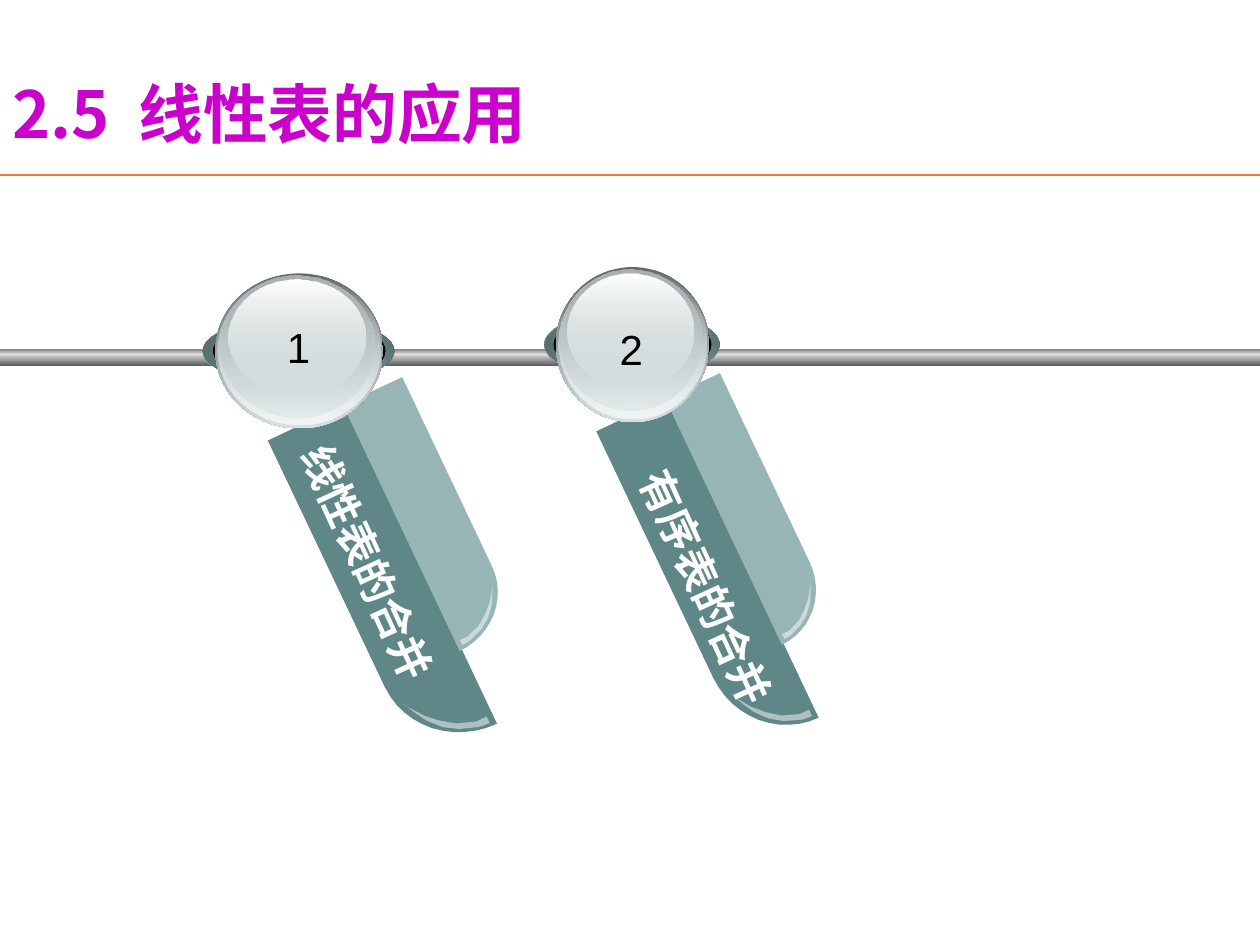
import math
from lxml import etree
from pptx import Presentation
from pptx import util as u
from pptx.dml.color import RGBColor
from pptx.enum import shapes, text
from pptx.oxml.ns import qn

Inches = u.Inches
THEME = {
    "cjk": "Noto Sans CJK SC", "latin": "Arial",
    "title_size": 37, "body_size": 24,
    "title": "CC00CC", "rule": "ED7D31", "label": "FFFFFF", "number": "000000",
    "dark_bar": [("608788", 100)], "light_bar": [("98B5B6", 100)],
    "gloss": [("FFFFFF", 49)],
    "rod_top": [("808080", 100), ("ECECEC", 100)],
    "rod_bottom": [("CFCFCF", 100), ("5F5F5F", 100)],
    "pin": [("FFFFFF", 100), ("83A6A7", 100), ("FFFFFF", 100)],
    "pin_shade": [("83A6A7", 32), ("000000", 90)],
    "ring": [("475A5A", 100), ("83A6A7", 100), ("475A5A", 100)],
    "ring_shade": [("53696A", 100), ("83A6A7", 0)],
    "hole": [("000000", 100)],
    "ball": [("636869", 100), ("D6E1E2", 100)],
    "ball_rim": [("D6E1E2", 0), ("F1F5F5", 100)],
    "ball_core": [("AAB2B3", 100), ("D6E1E2", 48)],
    "ball_shine": [("FFFFFF", 100), ("D6E1E2", 38)],
}


def paint(sp, colour_key, angle=90):
    """Fill with evenly spaced (colour, opacity) stops; angle runs clockwise."""
    stops = THEME[colour_key]
    sp.shadow.inherit = False
    sp.line.fill.background()
    if len(stops) == 1:
        sp.fill.solid()
        sp.fill.fore_color.rgb = RGBColor.from_string(stops[0][0])
        colours = [sp._element.spPr.find(qn("a:solidFill"))[0]]
    else:
        sp.fill.gradient()
        sp.fill.gradient_angle = 360 - angle
        stop_list = sp._element.spPr.find(".//" + qn("a:gsLst"))
        for old in list(stop_list):
            stop_list.remove(old)
        colours = []
        for i, (colour, _) in enumerate(stops):
            gs = etree.SubElement(stop_list, qn("a:gs"), pos=str(100000 * i // (len(stops) - 1)))
            colours.append(etree.SubElement(gs, qn("a:srgbClr"), val=colour))
    for element, (_, opacity) in zip(colours, stops):
        if opacity < 100:
            etree.SubElement(element, qn("a:alpha"), val=str(opacity * 1000))


def add_run(p, words, font, size, colour, bold=False):
    r = p.add_run()
    r.text = words
    r.font.name, r.font.size, r.font.bold = font, u.Pt(size), bold
    r.font.color.rgb = RGBColor.from_string(colour)
    etree.SubElement(r._r.get_or_add_rPr(), qn("a:ea"), typeface=font)
    return r


prs = Presentation()
prs.slide_width, prs.slide_height = Inches(10), Inches(7.5)
s = prs.slides.add_slide(prs.slide_layouts[5])

# Title and rule
title = s.shapes.title
title.left, title.top, title.width, title.height = map(Inches, (0, 0.56, 8.59, 0.75))
tf = title.text_frame
tf.word_wrap = True
tf.auto_size = text.MSO_AUTO_SIZE.NONE
tf.vertical_anchor = text.MSO_ANCHOR.MIDDLE
p = tf.paragraphs[0]
p.alignment = text.PP_ALIGN.LEFT
p.line_spacing = 0.9
for words, spacing in [("2.5", 0), (" ", 800), ("线性表的应用", 0)]:
    r = add_run(p, words, THEME["cjk"], THEME["title_size"], THEME["title"], True)
    if spacing:
        r._r.get_or_add_rPr().set("spc", str(spacing))

rule = s.shapes.add_connector(shapes.MSO_CONNECTOR.STRAIGHT,
                              Inches(0), Inches(1.39), Inches(10), Inches(1.39))
rule.line.color.rgb = RGBColor.from_string(THEME["rule"])
rule.line.width = u.Pt(1)
etree.SubElement(rule._element.spPr, qn("a:effectLst"))

# Horizontal rod
rod = s.shapes.add_group_shape()
for top, height, colour_key in [(2.77, 0.05, "rod_top"), (2.82, 0.08, "rod_bottom")]:
    sp = rod.shapes.add_shape(shapes.MSO_SHAPE.RECTANGLE,
                              Inches(0), Inches(top), Inches(10), Inches(height))
    paint(sp, colour_key)

# Outlines on a unit square: a bar with one elliptical corner, and a crescent
CORNER = 0.23
arc = [math.radians(90 * i / 12) for i in range(13)]
bar = [(0, 0)] + [(1 - CORNER + CORNER * math.cos(a), math.sin(a)) for a in arc] + [(0, 1)]
crescent = [(1, 0), (0.98, 0.16), (0.86, 0.43), (0.7, 0.63), (0.48, 0.79), (0.27, 0.89),
            (0.09, 0.96), (0, 1), (0.11, 0.95), (0.38, 0.79), (0.57, 0.63),
            (0.75, 0.43), (0.87, 0.16), (0.87, 0)]
# outline, flipped, colour
bar_parts = [(bar, False, "dark_bar"), (crescent, False, "gloss"),
             (bar, True, "light_bar"), (crescent, True, "gloss")]
# left and top from the ring's corner, width, height, colour, angle
ball_parts = [
    (0.12, 0, 0.2, 0.53, "pin", 45), (0.12, 0, 0.2, 0.53, "pin_shade", 45),
    (0, 0, 1.52, 0.53, "ring", 315), (0, 0, 1.52, 0.53, "ring_shade", 45),
    (0.08, 0, 1.37, 0.53, "hole", 0), (0.1, -0.35, 1.33, 1.23, "ball", 90),
    (0.12, -0.34, 1.29, 1.19, "ball_rim", 90), (0.13, -0.33, 1.23, 1.12, "ball_core", 90),
    (0.2, -0.3, 1.09, 0.91, "ball_shine", 90),
]
columns = [
    {"ring": (1.61, 2.52), "stretch": 1, "label": "线性表的合并",
     "label_box": (1.82, 4.21, 2.2, 0.5), "wrap": False,
     "bars": [(1.63, 4.28, 2.81, 0.68), (3.32, 5.38, 0.44, 0.56),
              (2.34, 3.82, 2.16, 0.52), (3.62, 4.66, 0.34, 0.43)]},
    {"ring": (4.32, 2.47), "stretch": 0.915, "label": "有序表的合并",
     "label_box": (4.42, 4.55, 2.5, 0.5), "wrap": True,
     "bars": [(4.21, 4.25, 2.81, 0.62), (5.9, 5.34, 0.44, 0.51),
              (4.88, 3.8, 2.16, 0.48), (6.16, 4.64, 0.34, 0.39)]},
]
UNITS = 1000
for column in columns:
    group = s.shapes.add_group_shape()
    for (outline, flipped, colour_key), box in zip(bar_parts, column["bars"]):
        left, top, width, height = map(Inches, box)
        points = [(x * UNITS, (1 - y if flipped else y) * UNITS) for x, y in outline]
        builder = group.shapes.build_freeform(*points[0], scale=(width / UNITS, height / UNITS))
        builder.add_line_segments(points[1:], close=True)
        sp = builder.convert_to_shape(left, top)
        sp.rotation = 64.6
        paint(sp, colour_key)

    ring_left, ring_top = column["ring"]
    for dx, dy, width, height, colour_key, angle in ball_parts:
        sp = group.shapes.add_shape(
            shapes.MSO_SHAPE.OVAL,
            Inches(ring_left + dx * column["stretch"]), Inches(ring_top + dy),
            Inches(width * column["stretch"]), Inches(height))
        paint(sp, colour_key, angle)

    label = group.shapes.add_textbox(*map(Inches, column["label_box"]))
    label.rotation = 65.4
    tf = label.text_frame
    tf.word_wrap = column["wrap"]
    tf.auto_size = text.MSO_AUTO_SIZE.SHAPE_TO_FIT_TEXT
    add_run(tf.paragraphs[0], column["label"], THEME["cjk"], THEME["body_size"],
            THEME["label"], True)

# Numbers on the balls
for number, left, top in [("1", 2.08, 2.5), ("2", 4.72, 2.52)]:
    box = s.shapes.add_textbox(Inches(left), Inches(top), Inches(0.58), Inches(0.5))
    tf = box.text_frame
    tf.word_wrap = True
    tf.auto_size = text.MSO_AUTO_SIZE.SHAPE_TO_FIT_TEXT
    p = tf.paragraphs[0]
    p.alignment = text.PP_ALIGN.CENTER
    add_run(p, number, THEME["latin"], THEME["body_size"], THEME["number"])

prs.save("out.pptx")
